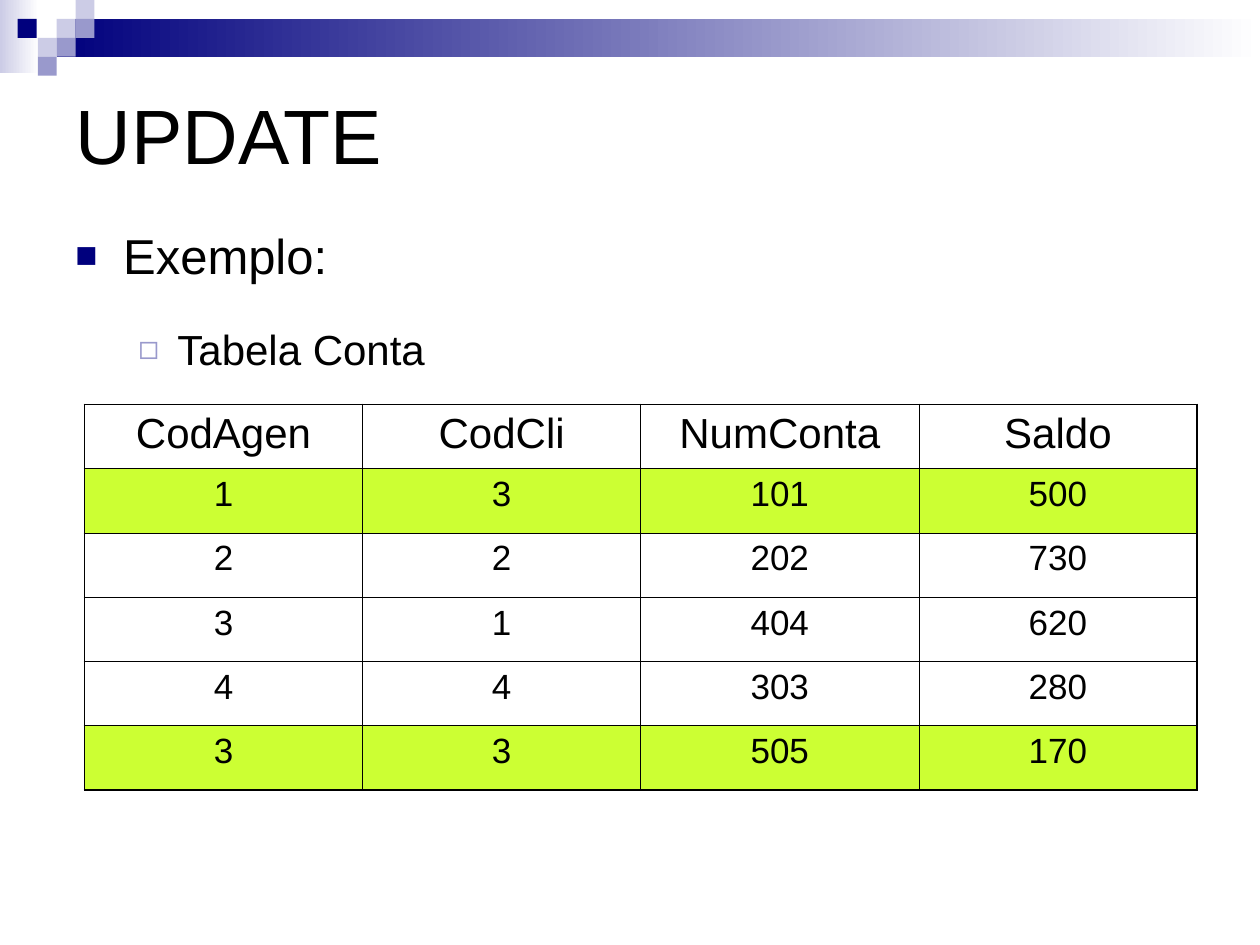
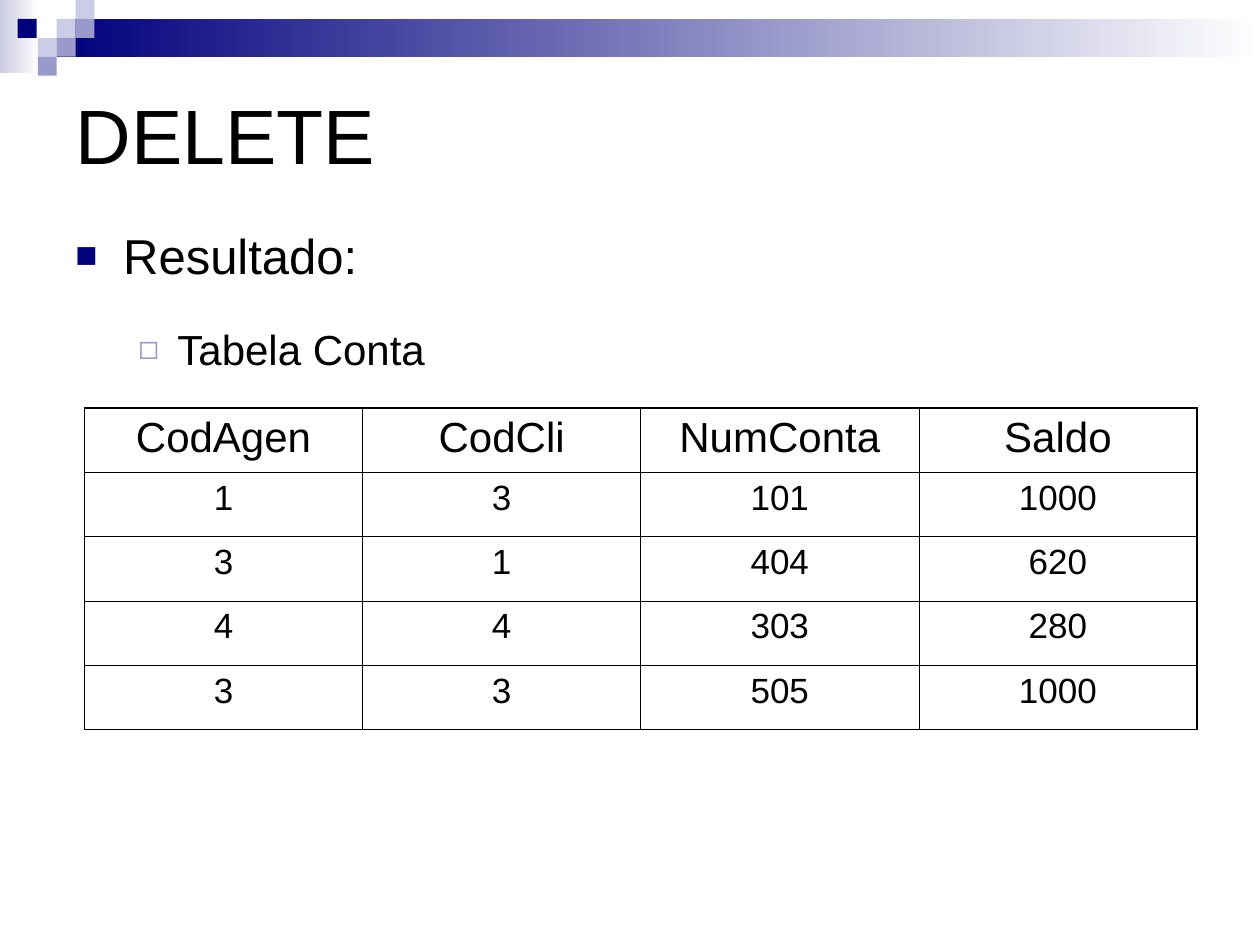
from lxml.etree import SubElement
from pptx import Presentation
from pptx.dml.color import RGBColor
from pptx.enum.shapes import MSO_SHAPE
from pptx.enum.text import MSO_ANCHOR, PP_ALIGN
from pptx.oxml.ns import qn
from pptx.util import Inches, Pt

FONT = "Arial"
BLACK, WHITE = "000000", "FFFFFF"
NAVY, LILAC, PALE, LIME = "00007D", "9999CC", "CCCCE6", "CCFF33"
THIN, THICK = 0.45, 1.08
TILE = 0.15
TILES = [(0.45, 0.15, PALE), (0.6, 0, PALE), (0.6, 0.15, LILAC),
         (0.3, 0.3, PALE), (0.14, 0.15, NAVY), (0.45, 0.3, LILAC),
         (0.3, 0.45, LILAC)]
HEADS = ["CodAgen", "CodCli", "NumConta", "Saldo"]
TITLE_BOX = (0.5, 0.5, 9, 1.12)


def color(code):
    return RGBColor.from_string(code)


def add_run(para, text, size):
    run = para.add_run()
    run.text = text
    run.font.name = FONT
    run.font.size = Pt(size)
    run.font.color.rgb = color(BLACK)


def add_rect(slide, box, first, last=None):
    rect = slide.shapes.add_shape(MSO_SHAPE.RECTANGLE, *map(Inches, box))
    rect.shadow.inherit = False
    rect.line.fill.background()
    if last is None:
        rect.fill.solid()
        rect.fill.fore_color.rgb = color(first)
        return
    rect.fill.gradient()
    rect.fill.gradient_angle = 0
    for stop, place, code in zip(rect.fill.gradient_stops, (0, 1), (first, last)):
        stop.position = place
        stop.color.rgb = color(code)


def add_band(slide):
    add_rect(slide, (0, 0, 0.31, 0.58), PALE, WHITE)
    add_rect(slide, (0.45, 0.15, 9.55, 0.3), NAVY, WHITE)
    for left, top, code in TILES:
        add_rect(slide, (left, top, TILE, TILE), code)


def add_title(slide, text):
    title = slide.shapes.title
    title.left, title.top, title.width, title.height = map(Inches, TITLE_BOX)
    frame = title.text_frame
    frame.word_wrap = True
    frame.vertical_anchor = MSO_ANCHOR.MIDDLE
    para = frame.paragraphs[0]
    para.alignment = PP_ALIGN.LEFT
    add_run(para, text, 44)


def set_bullet(para, mark, code, scale, left, hang):
    props = para._p.get_or_add_pPr()
    props.set("marL", str(Inches(left)))
    props.set("indent", str(-Inches(hang)))
    tint = SubElement(props, qn("a:buClr"))
    SubElement(tint, qn("a:srgbClr"), val=code)
    SubElement(props, qn("a:buSzPct"), val=str(scale * 1000))
    SubElement(props, qn("a:buFont"), typeface=FONT)
    SubElement(props, qn("a:buChar"), char=mark)


def add_list(slide, box, head, item):
    frame = slide.shapes.add_textbox(*map(Inches, box)).text_frame
    frame.word_wrap = True
    frame.margin_top = Inches(0.09)
    para = frame.paragraphs[0]
    set_bullet(para, "■", NAVY, 75, 0.38, 0.38)
    add_run(para, head, 28)
    para = frame.add_paragraph()
    para.level = 1
    para.space_before = Pt(22.5)
    set_bullet(para, "◻", LILAC, 80, 0.81, 0.31)
    add_run(para, item, 24)


def set_edges(cell, outer):
    props = cell._tc.get_or_add_tcPr()
    for side in "LRTB":
        width = THICK if side in outer else THIN
        line = SubElement(props, qn(f"a:ln{side}"), w=str(Pt(width)))
        fill = SubElement(line, qn("a:solidFill"))
        SubElement(fill, qn("a:srgbClr"), val=BLACK)


def add_grid(slide, box, rows, marked):
    data = [HEADS] + rows
    table = slide.shapes.add_table(len(data), len(HEADS), *map(Inches, box)).table
    table.first_row = table.horz_banding = False
    for r, row in enumerate(data):
        for c, text in enumerate(row):
            cell = table.cell(r, c)
            ends = {"L": c == 0, "R": c == len(HEADS) - 1,
                    "T": r == 0, "B": r == len(data) - 1}
            set_edges(cell, [side for side, hit in ends.items() if hit])
            if r in marked:
                cell.fill.solid()
                cell.fill.fore_color.rgb = color(LIME)
            else:
                cell.fill.background()
            para = cell.text_frame.paragraphs[0]
            para.alignment = PP_ALIGN.CENTER
            add_run(para, str(text), 20 if r else 24)


def add_page(deck, title, head, wide, top, rows, marked=()):
    slide = deck.slides.add_slide(deck.slide_layouts[5])
    add_band(slide)
    add_title(slide, title)
    add_list(slide, (0.5, 1.7, wide, 5.59), head, "Tabela Conta")
    add_grid(slide, (0.67, top, 8.83, 0.51 * (len(rows) + 1)), rows, marked)


def main():
    deck = Presentation()
    deck.slide_width, deck.slide_height = Inches(10), Inches(7.5)
    add_page(deck, "UPDATE", "Exemplo:", 7.97, 3.21,
             [(1, 3, 101, 500), (2, 2, 202, 730), (3, 1, 404, 620),
              (4, 4, 303, 280), (3, 3, 505, 170)], marked=(1, 5))
    add_page(deck, "DELETE", "Resultado:", 9.23, 3.24,
             [(1, 3, 101, 1000), (3, 1, 404, 620), (4, 4, 303, 280),
              (3, 3, 505, 1000)])
    deck.save("out.pptx")


if __name__ == "__main__":
    main()
